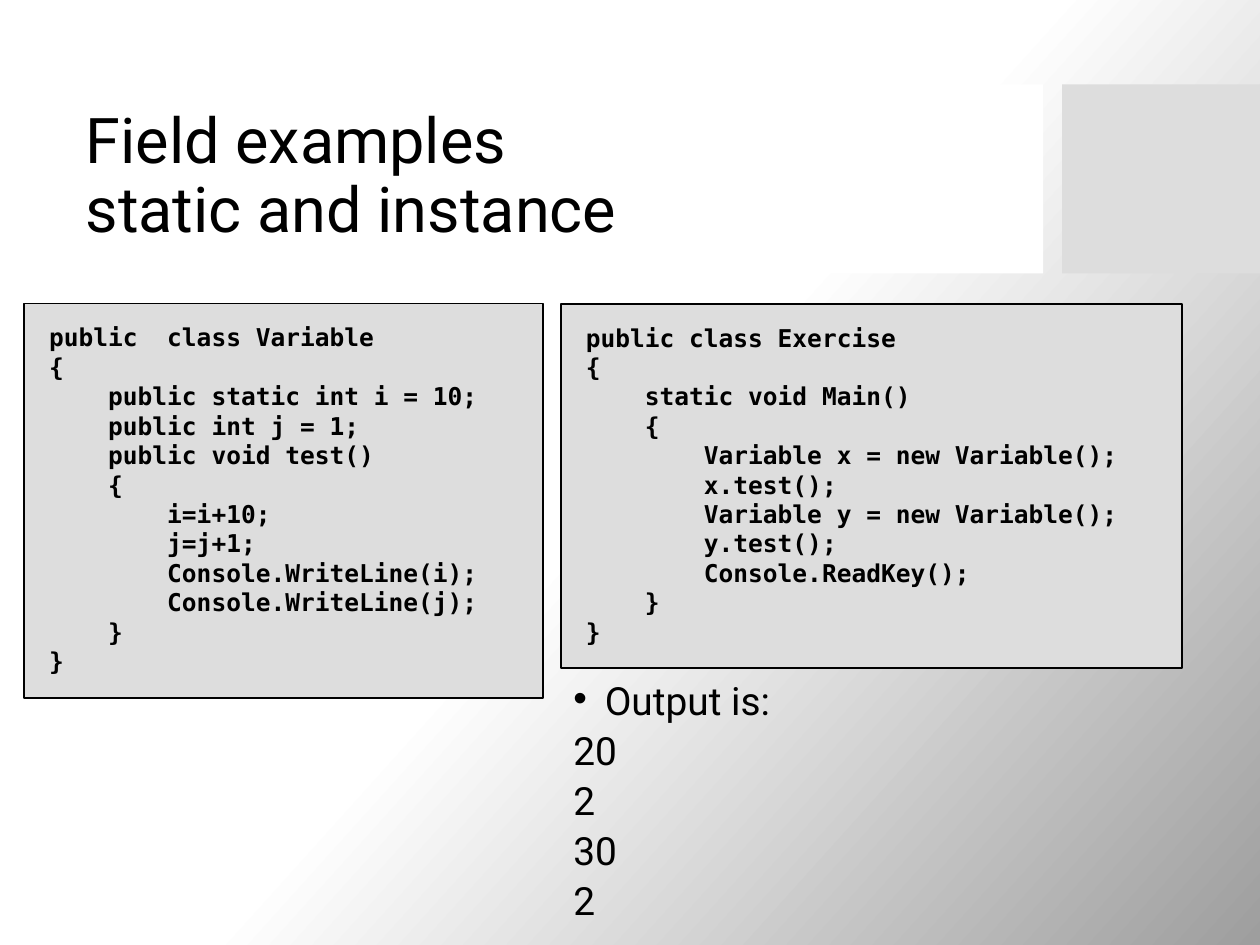
from copy import deepcopy

from pptx import Presentation
from pptx import util as u
from pptx.dml.color import RGBColor
from pptx.enum import shapes, text
from pptx.oxml import ns, xmlchemy

BLACK = RGBColor(0x00, 0x00, 0x00)
WHITE = RGBColor(0xFF, 0xFF, 0xFF)
PANEL_GRAY = RGBColor(0xDD, 0xDD, 0xDD)
SHADE_GRAY = RGBColor(0x9E, 0x9E, 0x9E)
TEXT_FONT = "Roboto"
CODE_FONT = "DejaVu Sans Mono"

VARIABLE_CODE = """public  class Variable
{
    public static int i = 10;
    public int j = 1;
    public void test()
    {
        i=i+10;
        j=j+1;
        Console.WriteLine(i);
        Console.WriteLine(j);
    }
}"""

EXERCISE_CODE = """public class Exercise
{
    static void Main()
    {
        Variable x = new Variable();
        x.test();
        Variable y = new Variable();
        y.test();
        Console.ReadKey();
    }
}"""


def set_background(slide):
    """White up to the middle, then shading to gray at the lower right."""
    fill = slide.background.fill
    fill.gradient()
    fill.gradient_angle = 360 - 42
    stop_list = slide.element.find(".//" + ns.qn("a:gsLst"))
    stop_list.insert(1, deepcopy(stop_list[0]))
    stops = [(0, WHITE), (0.5, WHITE), (1, SHADE_GRAY)]
    for stop, (position, color) in zip(fill.gradient_stops, stops):
        stop.position = position
        stop.color.rgb = color


def place(shape, left, top, width, height):
    shape.left, shape.top = u.Inches(left), u.Inches(top)
    shape.width, shape.height = u.Inches(width), u.Inches(height)


def set_font(paragraph, name, size, bold=False):
    font = paragraph.font
    font.name, font.size, font.bold = name, u.Pt(size), bold
    font.color.rgb = BLACK


def add_rectangle(slide, left, top, width, height, color):
    rectangle = slide.shapes.add_shape(
        shapes.MSO_SHAPE.RECTANGLE,
        u.Inches(left), u.Inches(top), u.Inches(width), u.Inches(height))
    rectangle.shadow.inherit = False
    rectangle.fill.solid()
    rectangle.fill.fore_color.rgb = color
    return rectangle


def add_title_band(slide, left, width, color):
    """Add a band behind the placeholders."""
    band = add_rectangle(slide, left, 0.67, width, 1.5, color)
    band.line.fill.background()
    slide.shapes.element.insert(2, band.element)


def add_code_panel(slide, left, width, height, code):
    panel = add_rectangle(slide, left, 2.41, width, height, PANEL_GRAY)
    panel.line.color.rgb = BLACK
    panel.line.width = u.Pt(1)
    frame = panel.text_frame
    frame.word_wrap = True
    frame.auto_size = text.MSO_AUTO_SIZE.SHAPE_TO_FIT_TEXT
    frame.vertical_anchor = text.MSO_ANCHOR.TOP
    frame.margin_left = frame.margin_right = u.Inches(0.2)
    frame.margin_top = frame.margin_bottom = u.Inches(0.15)
    frame.text = code
    for paragraph in frame.paragraphs:
        paragraph.alignment = text.PP_ALIGN.LEFT
        set_font(paragraph, CODE_FONT, 14, bold=True)


def fill_title(title, wording):
    place(title, 0.58, 0.82, 7.53, 1.18)
    frame = title.text_frame
    frame.auto_size = text.MSO_AUTO_SIZE.NONE
    frame.vertical_anchor = text.MSO_ANCHOR.MIDDLE
    frame.text = wording
    paragraph = frame.paragraphs[0]
    paragraph.alignment = text.PP_ALIGN.LEFT
    paragraph.line_spacing = 0.9
    set_font(paragraph, TEXT_FONT, 36)


def set_bullet(paragraph, character=None, indent=0):
    properties = paragraph._p.get_or_add_pPr()
    properties.set("marL", str(u.Inches(indent)))
    properties.set("indent", str(-u.Inches(indent)))
    bullet = xmlchemy.OxmlElement("a:buChar" if character else "a:buNone")
    if character:
        bullet.set("char", character)
    properties.insert_element_before(
        bullet, "a:tabLst", "a:defRPr", "a:extLst")


def fill_output(body, heading, values):
    """List the program output, with a bullet on the heading only."""
    place(body, 4.45, 5.42, 3.67, 2)
    frame = body.text_frame
    frame.auto_size = text.MSO_AUTO_SIZE.NONE
    frame.vertical_anchor = text.MSO_ANCHOR.TOP
    frame.text = "\n".join([heading, *values])
    for paragraph in frame.paragraphs:
        paragraph.line_spacing = 0.7
        paragraph.space_before = u.Pt(10)
        set_font(paragraph, TEXT_FONT, 22.2)
    set_bullet(frame.paragraphs[0], "•", 0.25)
    for paragraph in frame.paragraphs[1:]:
        set_bullet(paragraph)


def main():
    presentation = Presentation()
    presentation.slide_width = u.Inches(10)
    presentation.slide_height = u.Inches(7.5)
    slide = presentation.slides.add_slide(presentation.slide_layouts[1])

    # Background and title bands
    set_background(slide)
    add_title_band(slide, 0, 8.28, WHITE)
    add_title_band(slide, 8.43, 1.57, PANEL_GRAY)

    # Title and program output
    fill_title(slide.shapes.title, "Field examples \vstatic and instance")
    fill_output(slide.placeholders[1], "Output is:", ["20", "2", "30", "2"])

    # Code of the two classes
    add_code_panel(slide, 0.19, 4.12, 3.13, VARIABLE_CODE)
    add_code_panel(slide, 4.45, 4.93, 2.89, EXERCISE_CODE)

    presentation.save("out.pptx")


if __name__ == "__main__":
    main()
